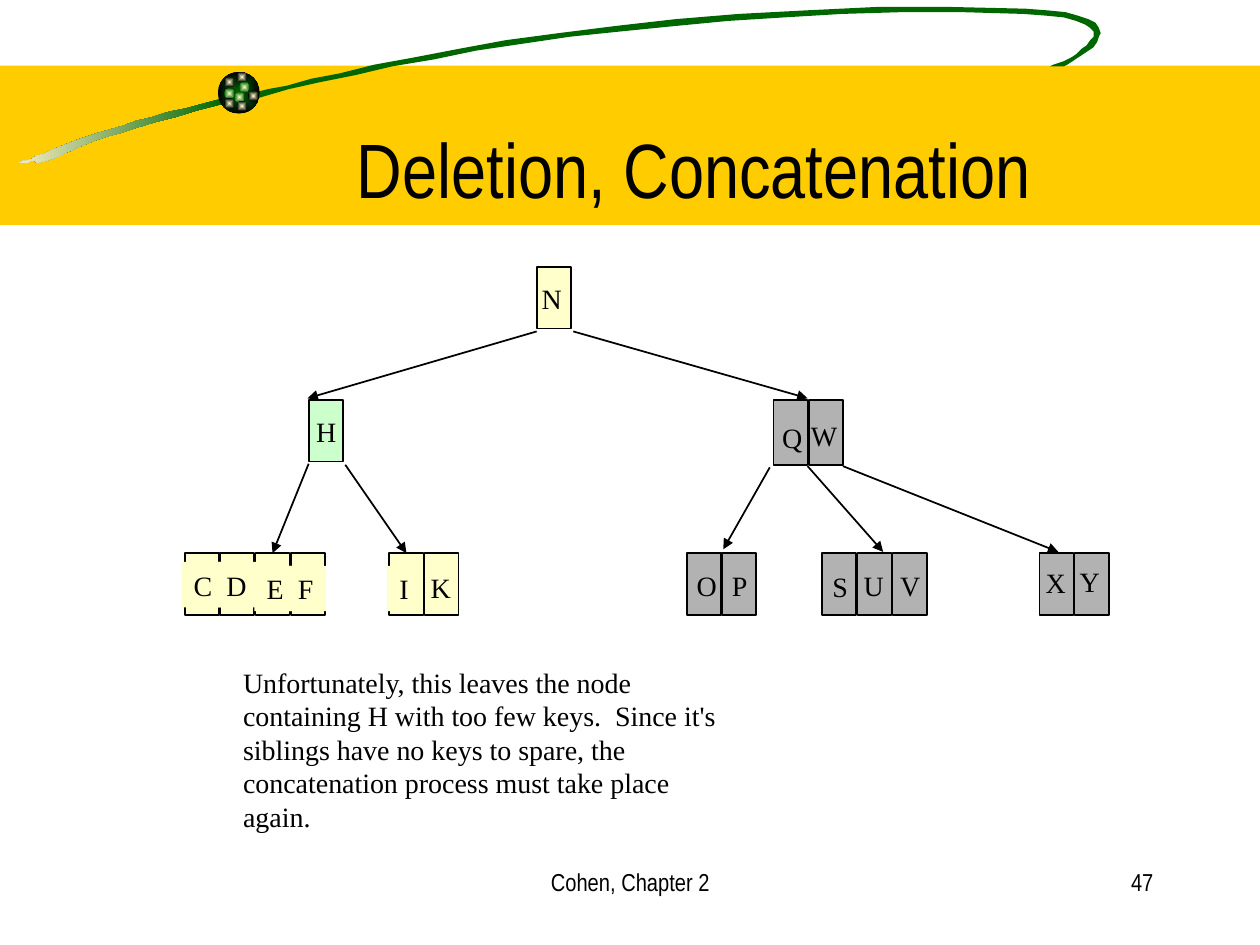
from lxml.etree import SubElement
from pptx import Presentation
from pptx.dml.color import RGBColor
from pptx.enum.shapes import MSO_CONNECTOR as Connector, MSO_SHAPE as Shape
from pptx.enum.text import MSO_ANCHOR as Anchor, MSO_AUTO_SIZE as AutoSize, PP_ALIGN as Align
from pptx.oxml.ns import qn
from pptx.util import Pt

GREEN, CREAM, MINT, GRAY, BLACK = "006600", "FFFFCC", "CCFFCC", "B2B2B2", "000000"
SERIF, NARROW = "Times New Roman", "Arial Narrow"
CELL_PITCH, CELL_WIDTH, CELL_HEIGHT, LETTER_SIZE = 20.1, 19.5, 35.2, 26


def paint(target, color):
    target.solid()
    target.fore_color.rgb = RGBColor.from_string(color)


def paint_gradient(shape, start, end):
    shape.fill.gradient()
    for stop, color in zip(shape.fill.gradient_stops, (start, end)):
        stop.color.rgb = RGBColor.from_string(color)
        stop.position = 0 if color == start else 1


def paint_radial(shape, center, edge):
    paint_gradient(shape, center, edge)
    linear = shape.element.find(".//" + qn("a:lin"))
    gradient = linear.getparent()
    gradient.remove(linear)
    spread = SubElement(gradient, qn("a:path"), path="rect")
    SubElement(spread, qn("a:fillToRect"), l="50000", t="50000", r="50000", b="50000")


def add_plain(slide, preset, left, top, width, height):
    shape = slide.shapes.add_shape(preset, Pt(left), Pt(top), Pt(width), Pt(height))
    shape.shadow.inherit = False
    shape.line.fill.background()
    return shape


def set_text(shape, text, size, font, align=Align.LEFT):
    shape.text_frame.text = text
    paragraph = shape.text_frame.paragraphs[0]
    paragraph.alignment = align
    paragraph.font.size = Pt(size)
    paragraph.font.name = font
    paragraph.font.color.rgb = RGBColor.from_string(BLACK)


def add_label(slide, text, left, top, width, height, size, font, align=Align.LEFT, wrap=True):
    label = slide.shapes.add_textbox(Pt(left), Pt(top), Pt(width), Pt(height))
    label.text_frame.word_wrap = wrap
    if not wrap:
        label.text_frame.auto_size = AutoSize.SHAPE_TO_FIT_TEXT
    set_text(label, text, size, font, align)
    return label


def curve_points(start, curves, steps=16):
    points = [start]
    for c1, c2, end in curves:
        origin = points[-1]
        for step in range(1, steps + 1):
            t = step / steps
            weights = ((1 - t) ** 3, 3 * t * (1 - t) ** 2, 3 * t * t * (1 - t), t ** 3)
            points.append(tuple(sum(w * p[axis] for w, p in zip(weights, (origin, c1, c2, end)))
                                for axis in (0, 1)))
    return points


def add_swoosh(slide, left, top, start, curves):
    points = [(left + x, top + y) for x, y in curve_points(start, curves)]
    builder = slide.shapes.build_freeform(*points[0], scale=Pt(1))
    builder.add_line_segments(points[1:], close=True)
    swoosh = builder.convert_to_shape()
    swoosh.shadow.inherit = False
    swoosh.line.fill.background()
    return swoosh


def add_ball(slide, left, top):
    ball = add_plain(slide, Shape.OVAL, left, top, 23.8, 23.8)
    paint_radial(ball, GREEN, BLACK)
    spots = [(12.2, 5.8, GREEN), (3.6, 2.9, BLACK), (3.6, 9.4, GREEN), (9.4, 11.5, GREEN),
             (17.3, 10.8, BLACK), (10.8, 16.6, BLACK), (3.6, 15.1, BLACK), (10.8, 0, BLACK)]
    for x, y, edge in spots:
        spot = add_plain(slide, Shape.OVAL, left + x, top + y, 5.8, 5.8)
        paint_radial(spot, CREAM, edge)


def add_header(slide, left, top, width, height):
    band = add_plain(slide, Shape.RECTANGLE, left, top, width, height)
    paint(band.fill, "FFCC00")
    tail = add_swoosh(slide, left, top, (128.2, 18.7), [
        ((65.5, 33.1), (35.3, 46.1), (18, 53.3)),
        ((0.7, 59), (18.7, 53.3), (22.3, 55.4)),
        ((41, 50.4), (41, 43.9), (128.9, 21.6))])
    paint_gradient(tail, GREEN, "F5EBC1")
    tail.fill.gradient_angle = 180
    loop = add_swoosh(slide, left, top, (145.4, 15.1), [
        ((177.1, 9.4), (349.9, -41), (586.1, -32.4)),
        ((660.2, -28.8), (617, -3.6), (608.4, 0)),
        ((608.4, 0), (603.4, 0), (600.5, 0.7)),
        ((607.7, -2.2), (659.5, -25.9), (585.4, -29.5)),
        ((394.6, -35.3), (230.4, -3.6), (148.3, 18))])
    paint(loop.fill, GREEN)
    add_ball(slide, left + 124.6, top + 3.6)


def add_title(slide, left, top, width, height):
    title = slide.shapes.title
    title.left, title.top, title.width, title.height = map(Pt, (left, top, width, height))
    title.text_frame.vertical_anchor = Anchor.BOTTOM
    set_text(title, "Deletion, Concatenation", 44, NARROW, Align.CENTER)
    title.element.getparent().append(title.element)


def add_node(slide, left, top, keys, fill, height=CELL_HEIGHT, patched=""):
    cells = []
    for index in range(len(keys)):
        cell = add_plain(slide, Shape.RECTANGLE, left + index * CELL_PITCH, top, CELL_WIDTH, height)
        paint(cell.fill, fill)
        paint(cell.line.fill, BLACK)
        cell.line.width = Pt(1)
        cells.append(cell)
    for index, (key, dx, dy, width) in enumerate(keys):
        letter = add_label(slide, key, left + index * CELL_PITCH + dx, top + dy,
                           width, LETTER_SIZE, 16, SERIF, wrap=False)
        if key in patched:
            paint(letter.fill, fill)
    return cells


def add_arrow(slide, start, end, child=None):
    arrow = slide.shapes.add_connector(Connector.STRAIGHT, *map(Pt, start + end))
    if child is not None:
        arrow.end_connect(child, 0)
    paint(arrow.line.fill, BLACK)
    arrow.line.width = Pt(1)
    SubElement(arrow.line._get_or_add_ln(), qn("a:tailEnd"), type="triangle")
    SubElement(arrow.element.spPr, qn("a:effectLst"))


def add_tree(slide, left, top):
    middle, leaf = top + 76, top + 163.5
    wide = LETTER_SIZE
    add_node(slide, left + 200.9, top, [("N", -4.3, 5, wide)], CREAM)
    add_node(slide, left + 70.6, middle, [("H", -2.9, 5, wide)], MINT)
    add_node(slide, left + 336.2, middle, [("Q", -2.2, 8, wide), ("W", -5.8, 7.2, 29.5)], GRAY, 37)
    cdef = add_node(slide, left, leaf, [("C", -2.2, 5, 25), ("D", -3.6, 5, wide),
                                        ("E", -0.7, 7.2, 24), ("F", -2.9, 7.2, 23)],
                    CREAM, patched="CDEF")
    ik = add_node(slide, left + 116.7, leaf, [("I", -1.4, 7.2, 19.5), ("K", -3.6, 6.5, wide)],
                  CREAM, patched="I")
    add_node(slide, left + 286.6, leaf, [("O", -1.4, 5, wide), ("P", -1.4, 5, 23)], GRAY)
    add_node(slide, left + 364.1, leaf, [("S", -1.4, 5.8, 23), ("U", -3.6, 5, wide),
                                         ("V", -2.9, 5, wide)], GRAY)
    add_node(slide, left + 488.2, leaf, [("X", -3.6, 3.6, wide), ("Y", -4.3, 2.9, wide)], GRAY)
    edges = [((200.9, 36.8), (69.9, 75), None), ((221.8, 36.8), (355.7, 75), None),
             ((70.6, 112.4), (49, 162.8), cdef[2]), ((91.5, 113), (125.3, 162.8), ik[0]),
             ((334.1, 114.5), (307.5, 161.3), None), ((355.7, 113.8), (398.9, 162.8), None),
             ((375.9, 113.8), (499, 162.8), None)]
    for (x1, y1), (x2, y2), child in edges:
        add_arrow(slide, (left + x1, top + y1), (left + x2, top + y2), child)


def add_footer(slide, left, top, height):
    add_label(slide, "Cohen, Chapter 2", left, top, 228, height, 14, NARROW, Align.CENTER)
    add_label(slide, "47", left + 270, top, 150, height, 14, NARROW, Align.RIGHT)


def main():
    deck = Presentation()
    deck.slide_width, deck.slide_height = Pt(720), Pt(540)
    slide = deck.slides.add_slide(deck.slide_layouts[5])
    add_header(slide, 0, 37.5, 720, 91)
    add_title(slide, 90.7, 36, 612, 90)
    add_tree(slide, 105.8, 152.6)
    add_label(slide, "Unfortunately, this leaves the node containing H with too few keys.  Since it's "
              "siblings have no keys to spare, the concatenation process must take place again.",
              131.8, 376.6, 290, 103, 16, SERIF)
    add_footer(slide, 246.2, 491.8, 36)
    deck.save("out.pptx")


if __name__ == "__main__":
    main()
